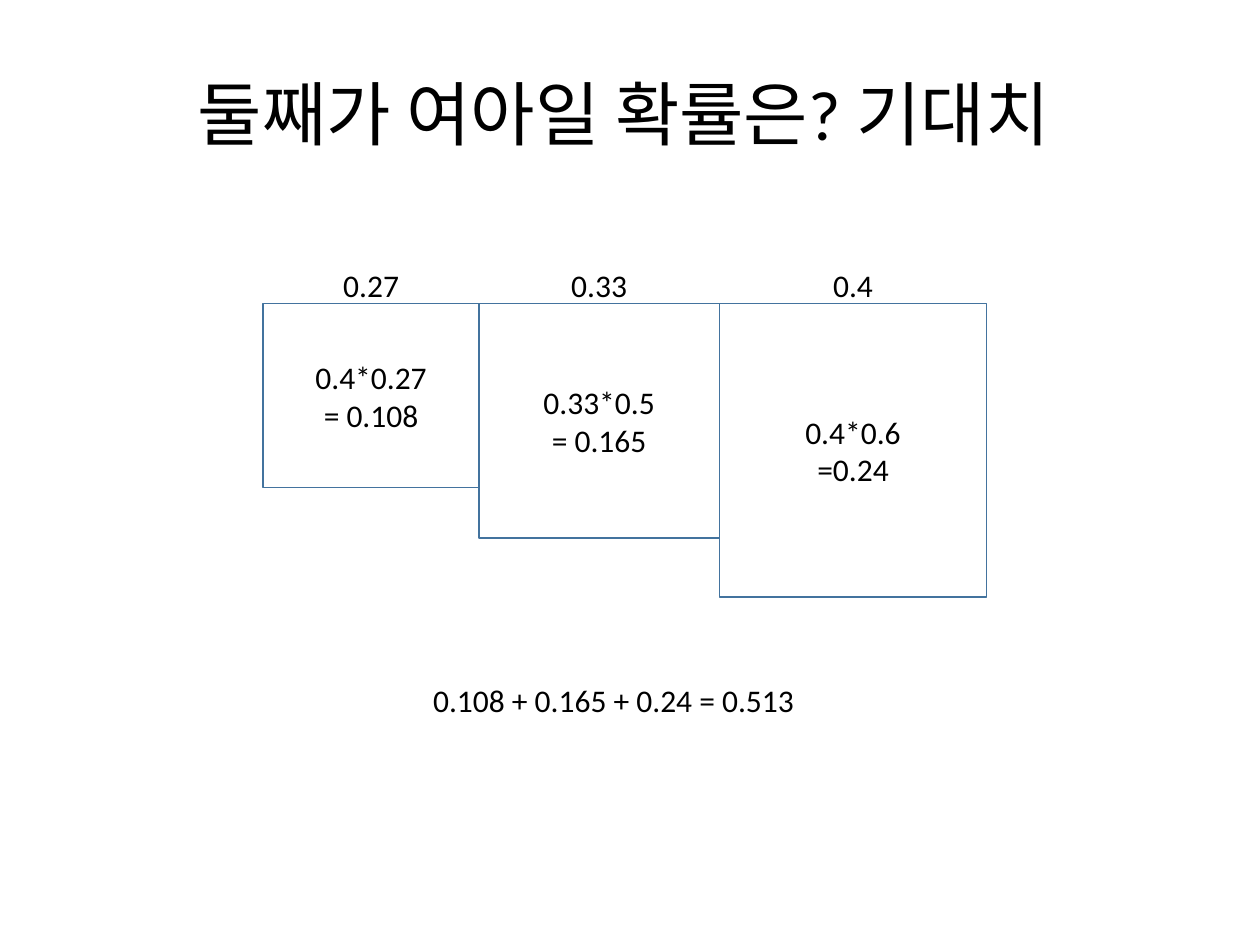
from pptx import Presentation
from pptx.dml.color import RGBColor
from pptx.enum.shapes import MSO_SHAPE
from pptx.enum.text import MSO_ANCHOR, PP_ALIGN
from pptx.util import Inches, Pt

BLACK, BORDER = "000000", "43739E"
BODY_FONT = {"name": "Calibri", "size": Pt(18)}
TITLE_FONT = {"name": "Calibri", "size": Pt(40)}
LABEL_HEIGHT = 0.4

# Share of each group (width), its label width, box size and calculation
GROUPS = [
    ("0.27", 0.65, 1.71, 1.46, ["0.4*0.27", "= 0.108"]),
    ("0.33", 0.65, 1.91, 1.86, ["0.33*0.5", "= 0.165"]),
    ("0.4", 0.52, 2.12, 2.33, ["0.4*0.6", "=0.24"]),
]


def color(hex_code):
    return RGBColor.from_string(hex_code)


def write(frame, lines, font_format):
    frame.text = "\n".join(lines)
    for paragraph in frame.paragraphs:
        paragraph.alignment = PP_ALIGN.CENTER
        for attribute, value in font_format.items():
            setattr(paragraph.font, attribute, value)
        paragraph.font.color.rgb = color(BLACK)


def add_title(slide, left, top, width, height):
    title = slide.shapes.title
    title.left, title.top = Inches(left), Inches(top)
    title.width, title.height = Inches(width), Inches(height)
    write(title.text_frame, ["둘째가 여아일 확률은? 기대치"], TITLE_FONT)
    title.text_frame.vertical_anchor = MSO_ANCHOR.MIDDLE
    title.text_frame.paragraphs[0].line_spacing = 0.9


def add_label(slide, text, center, top, width):
    label = slide.shapes.add_textbox(
        Inches(center - width / 2), Inches(top), Inches(width), Inches(LABEL_HEIGHT))
    label.text_frame.word_wrap = False
    write(label.text_frame, [text], BODY_FONT)


def add_area(slide, lines, left, top, width, height):
    area = slide.shapes.add_shape(
        MSO_SHAPE.RECTANGLE, Inches(left), Inches(top), Inches(width), Inches(height))
    area.shadow.inherit = False
    area.fill.background()
    area.line.color.rgb = color(BORDER)
    area.line.width = Pt(1)
    area.text_frame.vertical_anchor = MSO_ANCHOR.MIDDLE
    write(area.text_frame, lines, BODY_FONT)


def add_area_diagram(slide, left, top):
    # Boxes stand side by side, each with its share centred above
    for share, label_width, width, height, calculation in GROUPS:
        add_area(slide, calculation, left, top, width, height)
        add_label(slide, share, left + width / 2, top - 0.35, label_width)
        left += width


def main():
    presentation = Presentation()
    presentation.slide_width, presentation.slide_height = Inches(10), Inches(7.5)
    slide = presentation.slides.add_slide(presentation.slide_layouts[5])
    add_title(slide, 0.64, 0.21, 8.62, 1.45)
    add_area_diagram(slide, 2.09, 2.41)
    # Expected value
    add_label(slide, "0.108 + 0.165 + 0.24 = 0.513", 4.87, 5.36, 3.1)
    presentation.save("out.pptx")


if __name__ == "__main__":
    main()
